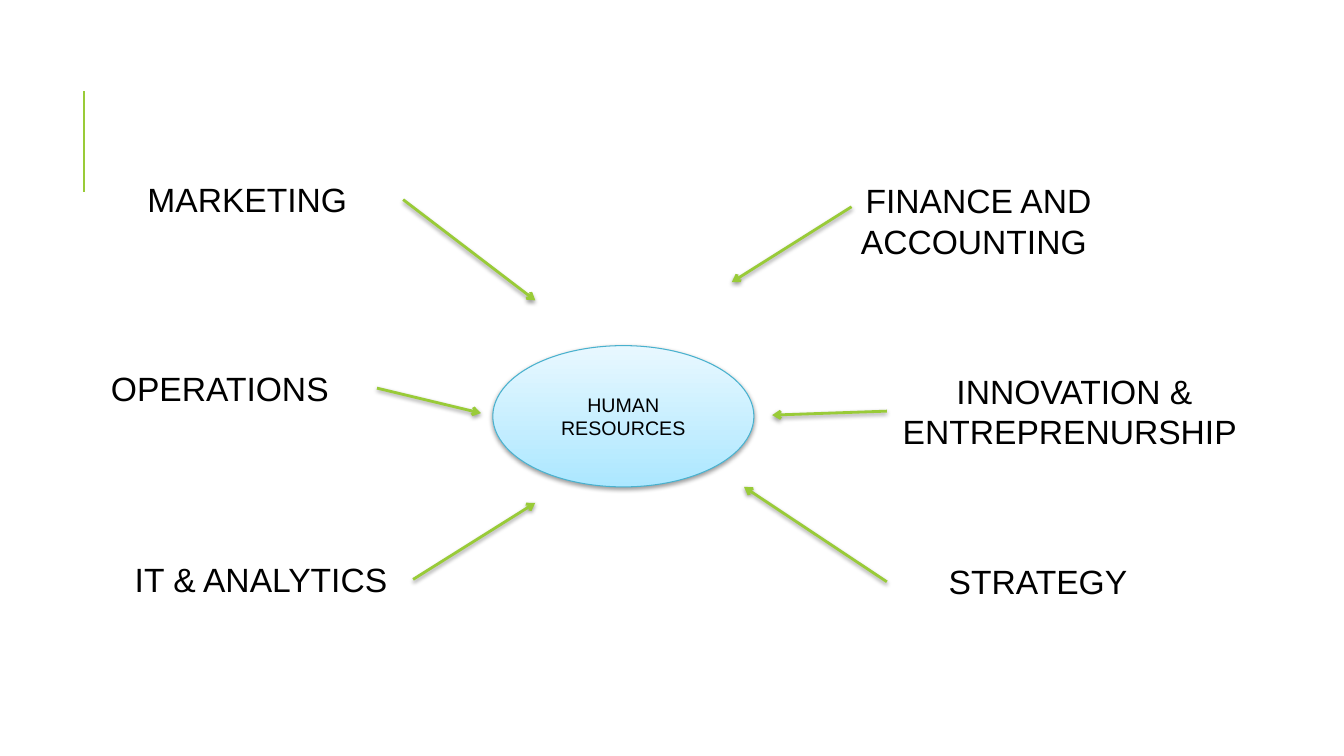
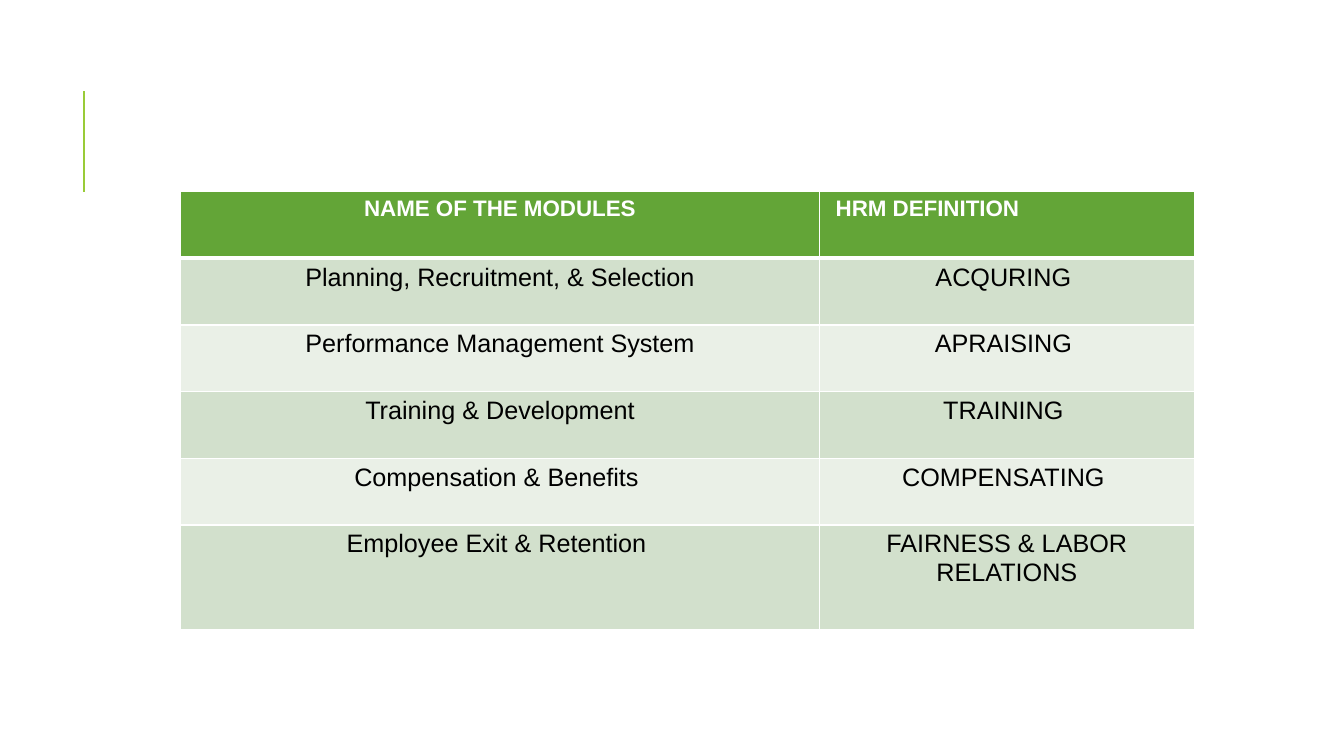
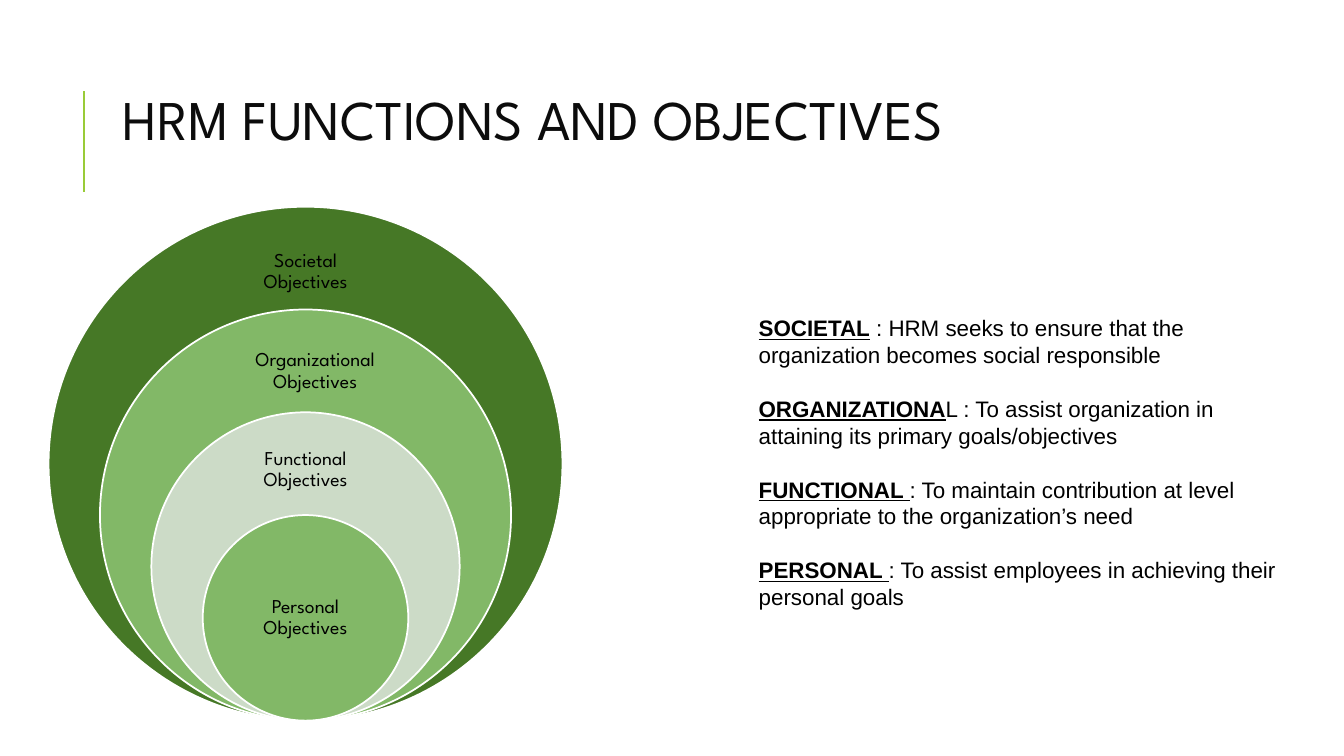
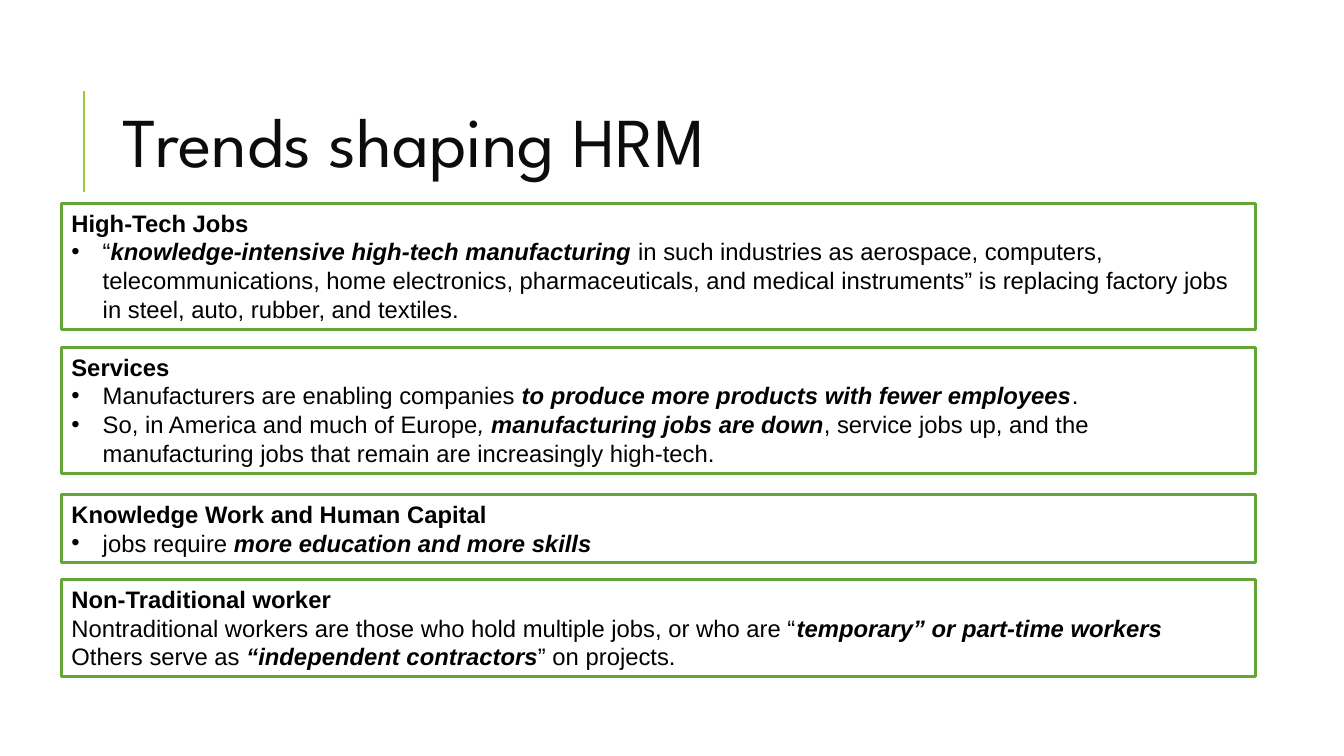
from lxml import etree
from pptx import Presentation
from pptx.dml.color import RGBColor
from pptx.enum.shapes import MSO_CONNECTOR, MSO_SHAPE
from pptx.enum.text import MSO_ANCHOR, PP_ALIGN
from pptx.oxml import parse_xml
from pptx.oxml.ns import qn
from pptx.util import Cm, Pt

STRAIGHT = MSO_CONNECTOR.STRAIGHT
ELLIPSE, RECTANGLE = MSO_SHAPE.OVAL, MSO_SHAPE.RECTANGLE
LEFT, CENTER = PP_ALIGN.LEFT, PP_ALIGN.CENTER
TOP, MIDDLE = MSO_ANCHOR.TOP, MSO_ANCHOR.MIDDLE

BLACK = RGBColor(0x00, 0x00, 0x00)
WHITE = RGBColor(0xFF, 0xFF, 0xFF)
TITLE_INK = RGBColor(0x0C, 0x0C, 0x0C)
LIME = RGBColor(0x99, 0xCB, 0x38)
GREEN = RGBColor(0x63, 0xA5, 0x37)
DARK_GREEN = RGBColor(0x46, 0x78, 0x26)
MID_GREEN = RGBColor(0x82, 0xB8, 0x67)
PALE_GREEN = RGBColor(0xCC, 0xDB, 0xC7)
BAND_DARK = RGBColor(0xD2, 0xE0, 0xCC)
BAND_LIGHT = RGBColor(0xEA, 0xF0, 0xE7)
BLUE_LINE = RGBColor(0x49, 0xB1, 0xCE)
BLUE_BOTTOM = RGBColor(0xAC, 0xE7, 0xFF)
BLUE_TOP = RGBColor(0xE8, 0xF8, 0xFF)

BODY_FONT, TITLE_FONT = "Arial", "League Spartan"
DRAWING = "http://schemas.openxmlformats.org/drawingml/2006/main"
NO_EFFECT = f'<a:effectLst xmlns:a="{DRAWING}"/>'
SOFT_SHADOW = (
    f'<a:effectLst xmlns:a="{DRAWING}">'
    '<a:outerShdw blurRad="40000" dist="20000" dir="5400000" rotWithShape="0">'
    '<a:srgbClr val="000000"><a:alpha val="38000"/></a:srgbClr>'
    '</a:outerShdw></a:effectLst>')


def write_text(frame, content, size, font=BODY_FONT, color=BLACK, align=LEFT,
               anchor=TOP, line_spacing=None, gap=0, margin=None):
    """Write a string, or paragraphs made of (text, style) runs.

    Style letters are b, i and u; a paragraph starting with "•" is bulleted.
    """
    frame.word_wrap = True
    frame.vertical_anchor = anchor
    if margin is not None:
        frame.margin_left = frame.margin_right = margin
        frame.margin_top = frame.margin_bottom = margin
    paragraphs = [[(content, "")]] if isinstance(content, str) else content
    for index, runs in enumerate(paragraphs):
        paragraph = frame.add_paragraph() if index else frame.paragraphs[0]
        paragraph.alignment = align
        if line_spacing:
            paragraph.line_spacing = line_spacing
        if index and gap:
            paragraph.space_before = Pt(gap)
        if runs[0] == "•":
            runs = runs[1:]
            properties = paragraph._p.get_or_add_pPr()
            properties.set("marL", str(Cm(0.79)))
            properties.set("indent", str(-Cm(0.79)))
            bullet_font = etree.SubElement(properties, qn("a:buFont"))
            bullet_font.set("typeface", BODY_FONT)
            etree.SubElement(properties, qn("a:buChar")).set("char", "•")
        for text, style in runs:
            run = paragraph.add_run()
            run.text = text
            run.font.name, run.font.size = font, Pt(size)
            run.font.color.rgb = color
            run.font.bold = "b" in style
            run.font.italic = "i" in style
            run.font.underline = "u" in style


def add_line(slide, start, end, width, effect=NO_EFFECT, arrow=False):
    line = slide.shapes.add_connector(
        STRAIGHT, *(Cm(value) for value in start + end))
    line.line.color.rgb = LIME
    line.line.width = Pt(width)
    if arrow:
        tail = etree.SubElement(line.line._get_or_add_ln(), qn("a:tailEnd"))
        tail.set("type", "arrow")
    line._element.spPr.append(parse_xml(effect))


presentation = Presentation()
presentation.slide_width, presentation.slide_height = Cm(33.87), Cm(19.05)

# Every slide has the rule beside its title; two have a title
titles = [None, None,
          ("HRM FUNCTIONS AND OBJECTIVES", 40, 1.04),
          ("Trends shaping HRM", 50, 1.63)]
slides = []
for title in titles:
    slide = presentation.slides.add_slide(presentation.slide_layouts[6])
    add_line(slide, (2.11, 4.83), (2.11, 2.29), 1.5)
    if title:
        text, size, top = title
        box = slide.shapes.add_textbox(Cm(2.85), Cm(top), Cm(27), Cm(4.17))
        write_text(box.text_frame, text, size, font=TITLE_FONT,
                   color=TITLE_INK, anchor=MIDDLE, line_spacing=0.8)
    slides.append(slide)
functions_slide, modules_slide, objectives_slide, trends_slide = slides

# Slide 1: business functions around human resources
functions = [
    ("MARKETING ", 2.54, 4.39, 7.62, 1.27),
    ("OPERATIONS ", 1.85, 9.14, 7.62, 1.27),
    ("FINANCE AND ACCOUNTING ", 20.85, 4.42, 7.62, 2.31),
    ("IT & ANALYTICS", 2.77, 13.97, 7.62, 1.27),
    ("STRATEGY", 22.35, 14.02, 7.62, 1.27),
    (" INNOVATION & ENTREPRENURSHIP", 22.35, 9.22, 9.22, 2.31),
]
for text, *place in functions:
    box = functions_slide.shapes.add_textbox(*(Cm(value) for value in place))
    write_text(box.text_frame, text, 24, align=CENTER)

hub = functions_slide.shapes.add_shape(
    ELLIPSE, Cm(12.42), Cm(8.71), Cm(6.58), Cm(3.56))
hub.fill.gradient()
hub.fill.gradient_angle = 90
for stop, color in zip(hub.fill.gradient_stops, (BLUE_BOTTOM, BLUE_TOP)):
    stop.color.rgb = color
hub.line.color.rgb = BLUE_LINE
hub.line.width = Pt(0.75)
hub._element.spPr.append(parse_xml(SOFT_SHADOW))
write_text(hub.text_frame, "HUMAN RESOURCES", 14, align=CENTER, anchor=MIDDLE)

arrows = [
    ((10.16, 5.03), (13.49, 7.57)),
    ((9.5, 9.78), (12.12, 10.41)),
    ((21.46, 5.21), (18.44, 7.11)),
    ((22.35, 10.36), (19.46, 10.46)),
    ((10.41, 14.6), (13.49, 12.67)),
    ((22.35, 14.66), (18.75, 12.27)),
]
for start, end in arrows:
    add_line(functions_slide, start, end, 2, effect=SOFT_SHADOW, arrow=True)

# Slide 2: table of modules
modules = [
    ("NAME OF THE MODULES", " HRM DEFINITION"),
    ("Planning, Recruitment, & Selection", "ACQURING "),
    ("Performance Management System", "APRAISING "),
    ("Training & Development", "TRAINING "),
    ("Compensation & Benefits ", "COMPENSATING "),
    ("Employee Exit & Retention ", "FAIRNESS & LABOR RELATIONS"),
]
row_heights = [1.68] * 5 + [2.64]
table = modules_slide.shapes.add_table(
    len(modules), 2, Cm(4.55), Cm(4.83), Cm(25.55), Cm(sum(row_heights))).table
for column, width in zip(table.columns, (16.1, 9.45)):
    column.width = Cm(width)
for row_index, texts in enumerate(modules):
    table.rows[row_index].height = Cm(row_heights[row_index])
    header = row_index == 0
    for column_index, text in enumerate(texts):
        cell = table.cell(row_index, column_index)
        if header:
            fill = GREEN
            align = LEFT if column_index else CENTER
            write_text(cell.text_frame, [[(text, "b")]], 16, color=WHITE,
                       align=align)
        else:
            fill = BAND_DARK if row_index % 2 else BAND_LIGHT
            write_text(cell.text_frame, text, 18, align=CENTER)
        widths = {"lnL": 1, "lnR": 1, "lnT": 3 if row_index == 1 else 1,
                  "lnB": 3 if header else 1}
        for side, width in widths.items():
            cell._tc.get_or_add_tcPr().append(parse_xml(
                f'<a:{side} xmlns:a="{DRAWING}" w="{Pt(width)}"><a:solidFill>'
                f'<a:srgbClr val="{WHITE}"/></a:solidFill></a:{side}>'))
        cell.fill.solid()
        cell.fill.fore_color.rgb = fill

# Slide 3: nested circles that share their lowest point
center_x, bottom, outer_diameter = 7.7, 18.16, 12.95
objectives = [
    ("Societal Objectives", DARK_GREEN, 5.89, 5.87, 3.63, 1.96),
    ("Organizational Objectives", MID_GREEN, 5.89, 8.43, 4.11, 1.85),
    ("Functional Objectives", PALE_GREEN, 5.89, 10.97, 3.63, 1.75),
    ("Personal Objectives", MID_GREEN, 5.87, 14.27, 3.66, 2.59),
]
for level, (text, color, *place) in enumerate(objectives):
    diameter = outer_diameter * (1 - 0.2 * level)
    circle = objectives_slide.shapes.add_shape(
        ELLIPSE, Cm(center_x - diameter / 2), Cm(bottom - diameter),
        Cm(diameter), Cm(diameter))
    circle.shadow.inherit = False
    circle.fill.solid()
    circle.fill.fore_color.rgb = color
    circle.line.color.rgb = WHITE
    circle.line.width = Pt(1.25)
    label = objectives_slide.shapes.add_textbox(*(Cm(value) for value in place))
    write_text(label.text_frame, text, 14, font=TITLE_FONT, align=CENTER,
               anchor=MIDDLE, line_spacing=0.9, margin=Cm(0.28))

definitions = [
    [("SOCIETAL", "bu"), (" : HRM seeks to ensure that the organization "
                          "becomes social responsible", "")],
    [("ORGANIZATIONA", "bu"), ("L : To assist organization in attaining its "
                               "primary goals/objectives", "")],
    [("FUNCTIONAL ", "bu"), (": To maintain contribution at level appropriate "
                             "to the organization’s need", "")],
    [("PERSONAL ", "bu"), (": To assist employees in achieving their "
                           "personal goals", "")],
]
box = objectives_slide.shapes.add_textbox(
    Cm(18.87), Cm(7.8), Cm(13.56), Cm(7.77))
write_text(box.text_frame, definitions, 16, gap=19.2)

# Slide 4: one outlined box for each trend
trends = [
    (5.13, 3.18, [
        [("High-Tech Jobs", "b")],
        ["•", ("“", ""), ("knowledge-intensive high-tech manufacturing ", "bi"),
         ("in such industries as aerospace, computers, telecommunications, "
          "home electronics, pharmaceuticals, and medical instruments” is "
          "replacing factory jobs in steel, auto, rubber, and textiles.", "")],
    ]),
    (8.76, 3.18, [
        [("Services", "b")],
        ["•", ("Manufacturers are enabling companies ", ""),
         ("to produce more products with fewer employees", "bi"), (".", "")],
        ["•", ("So, in America and much of Europe", ""), (", ", "i"),
         ("manufacturing jobs are down", "bi"),
         (", service jobs up, and the manufacturing jobs that remain are "
          "increasingly high-tech.", "")],
    ]),
    (12.47, 1.7, [
        [("Knowledge Work and Human Capital", "b")],
        ["•", ("jobs require ", ""), ("more education and more skills", "bi")],
    ]),
    (14.61, 2.44, [
        [("Non-Traditional worker", "b")],
        [("Nontraditional workers are those who hold multiple jobs, or who "
          "are “", ""), ("temporary” or part-time workers", "bi")],
        [("Others serve as ", ""), ("“independent contractors", "bi"),
         ("” on projects.", "")],
    ]),
]
for top, height, paragraphs in trends:
    panel = trends_slide.shapes.add_shape(
        RECTANGLE, Cm(1.55), Cm(top), Cm(30.1), Cm(height))
    panel.shadow.inherit = False
    panel.fill.solid()
    panel.fill.fore_color.rgb = WHITE
    panel.line.color.rgb = GREEN
    panel.line.width = Pt(2)
    write_text(panel.text_frame, paragraphs, 17)

presentation.save("out.pptx")
